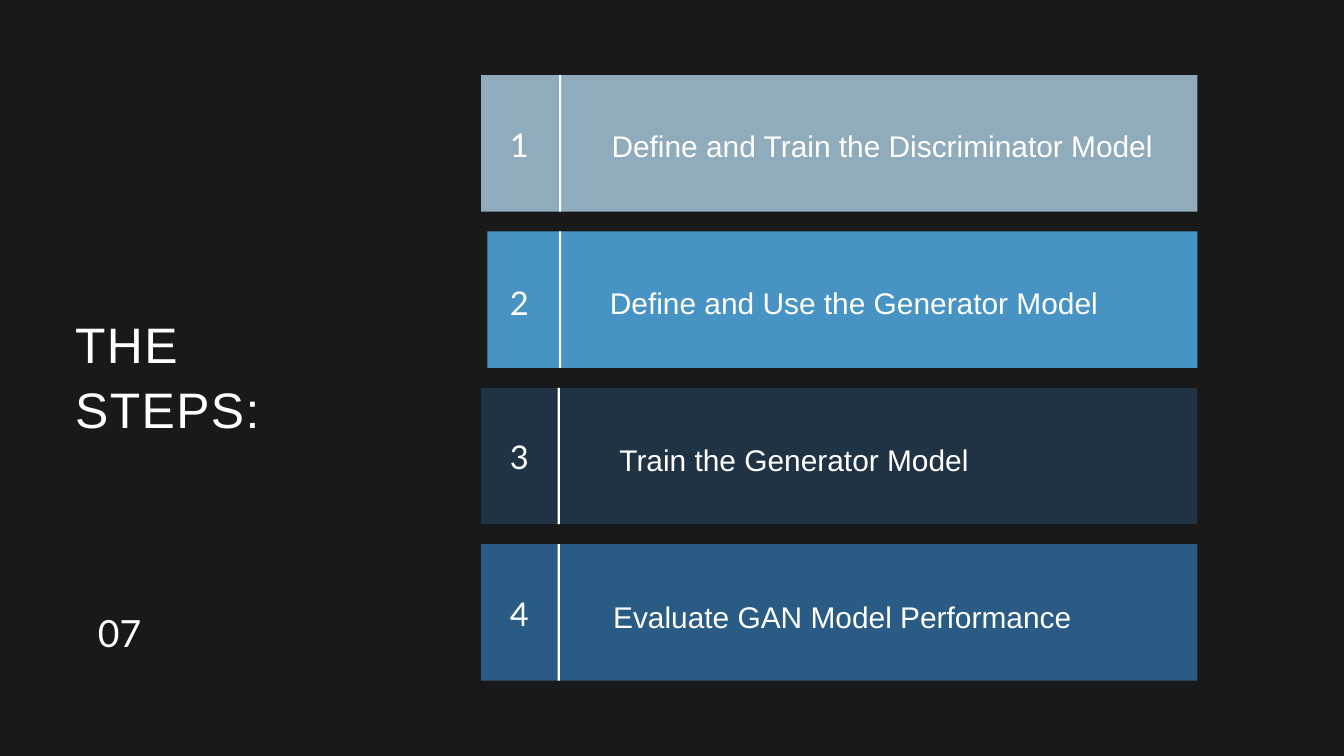
from dataclasses import dataclass

from pptx import Presentation
from pptx.dml.color import RGBColor
from pptx.enum.shapes import MSO_SHAPE as Shape
from pptx.enum.text import MSO_AUTO_SIZE as AutoSize, PP_ALIGN as Align
from pptx.util import Cm, Pt


@dataclass(frozen=True)
class Theme:
    background: str = "191919"
    ink: str = "FFFFFF"
    bars: tuple = ("90ABBB", "4793C3", "203345", "295B85")
    body_font: str = "Arial"
    number_font: str = "Lato"
    title_size: float = 53.4
    page_number_size: float = 40.1
    number_size: float = 35
    caption_size: float = 32


THEME = Theme()
TITLE = ["THE", "STEPS:"]
PAGE_NUMBER = "07"
STEPS = [
    {"caption": "Define and Train the Discriminator Model", "bar_left": 18.19,
     "divider_left": 21.13, "number_drop": 1.65, "left": 22.23, "width": 22.25},
    {"caption": "Define and Use the Generator Model", "bar_left": 18.42,
     "divider_left": 21.13, "number_drop": 1.7, "left": 22.23, "width": 20.12},
    {"caption": "Train the Generator Model", "bar_left": 18.19,
     "divider_left": 21.08, "number_drop": 1.62, "left": 21.08, "width": 17.88},
    {"caption": "Evaluate GAN Model Performance", "bar_left": 18.19,
     "divider_left": 21.08, "number_drop": 1.62, "left": 22.61, "width": 18.47},
]
BAR_TOP, BAR_HEIGHT, BAR_PITCH, BAR_RIGHT = 2.84, 5.16, 5.91, 45.26
CAPTION_TOP, CAPTION_PITCH = 4.6, 5.93


def add_bar(page, left, top, width, color):
    bar = page.shapes.add_shape(
        Shape.RECTANGLE, Cm(left), Cm(top), Cm(width), Cm(BAR_HEIGHT))
    bar.shadow.inherit = False
    bar.fill.solid()
    bar.fill.fore_color.rgb = RGBColor.from_string(color)
    bar.line.fill.background()


def add_text(page, lines, *, at, size, leading, font=THEME.body_font,
             align=Align.LEFT, spacing=0):
    box = page.shapes.add_textbox(*map(Cm, at))
    frame = box.text_frame
    frame.margin_left = frame.margin_top = 0
    frame.margin_right = frame.margin_bottom = 0
    frame.word_wrap = True
    frame.auto_size = AutoSize.SHAPE_TO_FIT_TEXT
    for index, line in enumerate(lines):
        para = frame.add_paragraph() if index else frame.paragraphs[0]
        para.alignment = align
        para.line_spacing = Pt(leading)
        span = para.add_run()
        span.text = line
        span.font.name = font
        span.font.size = Pt(size)
        span.font.color.rgb = RGBColor.from_string(THEME.ink)
        if spacing:
            span._r.get_or_add_rPr().set("spc", str(round(spacing * 100)))


def add_step(page, index, step):
    top = BAR_TOP + index * BAR_PITCH
    add_bar(page, step["bar_left"], top, BAR_RIGHT - step["bar_left"], THEME.bars[index])
    add_bar(page, step["divider_left"], top, 0.08, THEME.ink)
    add_text(page, [str(index + 1)], at=(19, top + step["number_drop"], 1.27, 1.68),
             size=THEME.number_size, leading=49, font=THEME.number_font,
             align=Align.CENTER, spacing=4.5)
    add_text(page, [step["caption"]],
             at=(step["left"], CAPTION_TOP + index * CAPTION_PITCH, step["width"], 1.5),
             size=THEME.caption_size, leading=44.8, align=Align.CENTER)


def main():
    deck = Presentation()
    deck.slide_width, deck.slide_height = Cm(50.8), Cm(28.58)
    page = deck.slides.add_slide(deck.slide_layouts[6])
    page.background.fill.solid()
    page.background.fill.fore_color.rgb = RGBColor.from_string(THEME.background)

    for index, step in enumerate(STEPS):
        add_step(page, index, step)
    add_text(page, TITLE, at=(2.84, 11.66, 17.09, 4.85),
             size=THEME.title_size, leading=69.9, spacing=1.6)
    add_text(page, [PAGE_NUMBER], at=(1.45, 23.5, 3.89, 1.4),
             size=THEME.page_number_size, leading=35.7,
             font=THEME.number_font, align=Align.RIGHT)
    deck.save("out.pptx")


if __name__ == "__main__":
    main()
